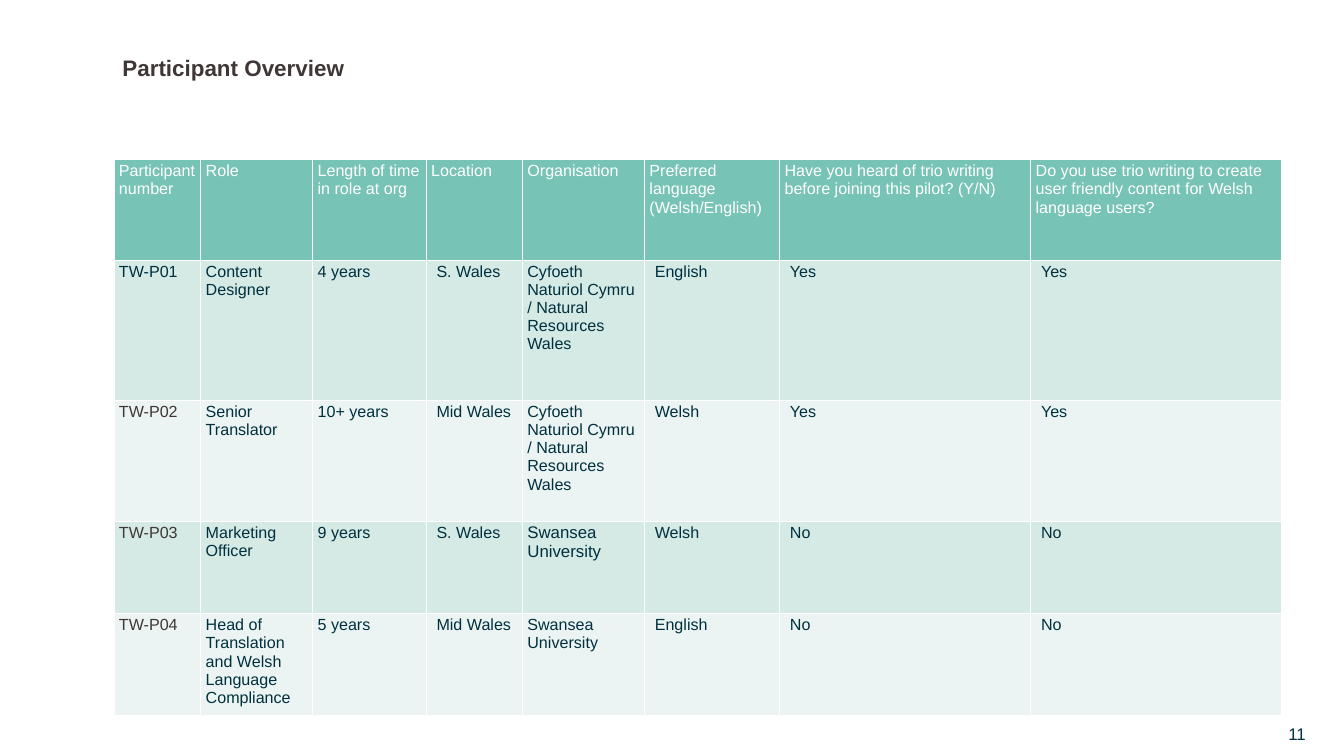
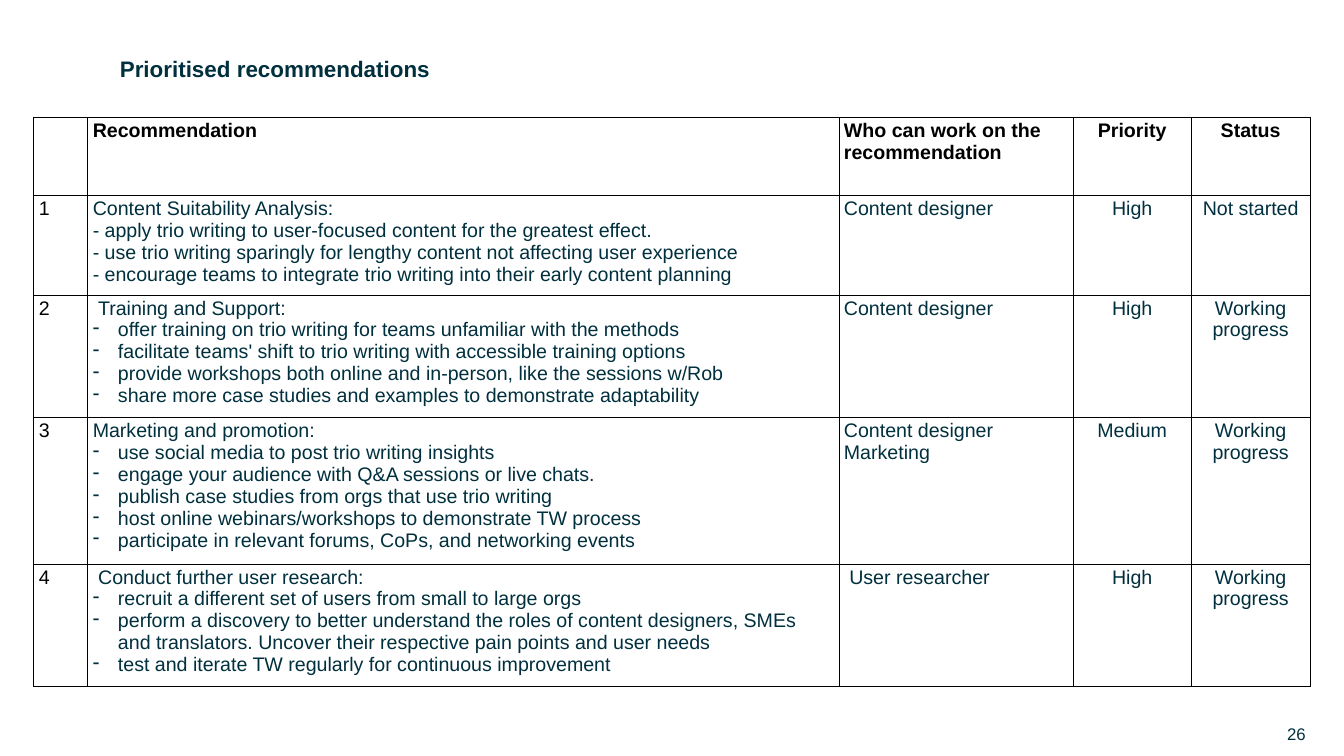
from lxml.etree import SubElement
from pptx import Presentation
from pptx.dml.color import RGBColor
from pptx.enum.text import MSO_ANCHOR, PP_ALIGN
from pptx.oxml import parse_xml
from pptx.oxml.ns import nsdecls, qn
from pptx.util import Cm, Pt

FONT = "Arial"
NAVY = RGBColor(0x00, 0x30, 0x3E)
BROWN = RGBColor(0x3E, 0x37, 0x35)
BLACK = RGBColor(0x00, 0x00, 0x00)
WHITE = RGBColor(0xFF, 0xFF, 0xFF)
TEAL = RGBColor(0x77, 0xC3, 0xB5)
BANDS = (RGBColor(0xD5, 0xE9, 0xE5), RGBColor(0xEB, 0xF4, 0xF2))

PARTICIPANT_HEADINGS = [
    "Participant number", "Role", "Length of time in role at org", "Location",
    "Organisation", "Preferred language (Welsh/English)",
    "Have you heard of trio writing before joining this pilot? (Y/N)",
    "Do you use trio writing to create user friendly content for Welsh language users?",
]
RESOURCES = "Cyfoeth Naturiol Cymru / Natural Resources Wales"
PARTICIPANTS = [
    ("TW-P01", "Content Designer", "4 years", "S. Wales", RESOURCES,
     "English", "Yes", "Yes"),
    ("TW-P02", "Senior Translator", "10+ years", "Mid Wales", RESOURCES,
     "Welsh", "Yes", "Yes"),
    ("TW-P03", "Marketing Officer", "9 years", "S. Wales", "Swansea University",
     "Welsh", "No", "No"),
    ("TW-P04", "Head of Translation and Welsh Language Compliance", "5 years",
     "Mid Wales", "Swansea University", "English", "No", "No"),
]
PARTICIPANT_WIDTHS = [4.37, 5.64, 5.72, 4.85, 6.15, 6.81, 12.65, 12.65]
PARTICIPANT_HEIGHTS = [5.08, 7.06, 6.07, 4.67, 5.08]
INDENTED_COLUMNS = (3, 5, 6, 7)

RECOMMENDATION_HEADINGS = [
    "", "Recommendation", "Who can work on the recommendation", "Priority", "Status",
]
RECOMMENDATIONS = [
    {"lines": ["Content Suitability Analysis:",
               "- apply trio writing to user-focused content for the greatest effect.",
               "- use trio writing sparingly for lengthy content not affecting user experience",
               "- encourage teams to integrate trio writing into their early content planning"],
     "bullets": [],
     "who": ["Content designer"], "priority": "High", "status": "Not started"},
    {"lines": ["Training and Support:"], "topic_indent": True,
     "bullets": ["offer training on trio writing for teams unfamiliar with the methods",
                 "facilitate teams' shift to trio writing with accessible training options",
                 "provide workshops both online and in-person, like the sessions w/Rob",
                 "share more case studies and examples to demonstrate adaptability"],
     "who": ["Content designer"], "priority": "High", "status": "Working progress"},
    {"lines": ["Marketing and promotion:"],
     "bullets": ["use social media to post trio writing insights",
                 "engage your audience with Q&A sessions or live chats.",
                 "publish case studies from orgs that use trio writing",
                 "host online webinars/workshops to demonstrate TW process",
                 "participate in relevant forums, CoPs, and networking events"],
     "who": ["Content designer", "Marketing"], "priority": "Medium",
     "status": "Working progress"},
    {"lines": ["Conduct further user research:"], "topic_indent": True,
     "who_indent": True,
     "bullets": ["recruit a different set of users from small to large orgs",
                 "perform a discovery to better understand the roles of content designers, "
                 "SMEs and translators. Uncover their respective pain points and user needs",
                 "test and iterate TW regularly for continuous improvement"],
     "who": ["User researcher"], "priority": "High", "status": "Working progress"},
]
RECOMMENDATION_WIDTHS = [2.72, 37.85, 11.79, 5.97, 5.97]
RECOMMENDATION_HEIGHTS = [3.94, 4.7, 5.74, 6.86, 5.74]

SMALL_INDENT = Cm(0.27)
BULLET_INDENT = Cm(1.27)


def style(para, size, color, bold=False, align=PP_ALIGN.LEFT):
    para.alignment = align
    para.font.name = FONT
    para.font.size = Pt(size)
    para.font.bold = bold
    para.font.color.rgb = color


def add_text(page, text, place, size, color, bold=False, align=PP_ALIGN.LEFT,
             anchor=MSO_ANCHOR.MIDDLE, wrap=True, spacing=1.0):
    box = page.shapes.add_textbox(*(Cm(length) for length in place))
    box.text_frame.word_wrap = wrap
    box.text_frame.vertical_anchor = anchor
    para = box.text_frame.paragraphs[0]
    para.text = text
    para.line_spacing = spacing
    style(para, size, color, bold, align)


def add_page_number(page, number):
    add_text(page, number, (50.8, 36.14, 15.24, 1.65), 24, NAVY, align=PP_ALIGN.RIGHT)


def add_grid(page, left, top, widths, heights):
    """Add an unstyled table with the given column widths and row heights."""
    frame = page.shapes.add_table(len(heights), len(widths), Cm(left), Cm(top),
                                  Cm(sum(widths)), Cm(sum(heights)))
    table = frame.table
    table.first_row = table.horz_banding = False
    for column, width in zip(table.columns, widths):
        column.width = Cm(width)
    for row, height in zip(table.rows, heights):
        row.height = Cm(height)
    return table


def set_borders(cell, color, left=1, right=1, top=1, bottom=1):
    properties = cell._tc.get_or_add_tcPr()
    for index, (side, points) in enumerate(zip("LRTB", (left, right, top, bottom))):
        properties.insert(index, parse_xml(
            f'<a:ln{side} {nsdecls("a")} w="{Pt(points)}"><a:solidFill>'
            f'<a:srgbClr val="{color}"/></a:solidFill></a:ln{side}>'))


def indent(para, margin, bullet=None):
    properties = para._p.get_or_add_pPr()
    properties.set("marL", str(margin))
    if bullet:
        properties.set("indent", str(-margin))
        SubElement(properties, qn("a:buChar"), char=bullet)


def write_lines(cell, lines, size, color, bold=False, align=PP_ALIGN.LEFT, bullets=()):
    frame = cell.text_frame
    for index, text in enumerate([*lines, *bullets]):
        para = frame.add_paragraph() if index else frame.paragraphs[0]
        para.text = text
        if index >= len(lines):
            indent(para, BULLET_INDENT, "-")
        style(para, size, color, bold, align)


def build_participants(page):
    add_text(page, "Participant Overview", (5.92, 2.62, 11.79, 3.18), 32, BROWN,
             bold=True, anchor=MSO_ANCHOR.TOP, wrap=False)
    table = add_grid(page, 5.74, 8.05, PARTICIPANT_WIDTHS, PARTICIPANT_HEIGHTS)
    for row, texts in enumerate([PARTICIPANT_HEADINGS, *PARTICIPANTS]):
        for column, text in enumerate(texts):
            cell = table.cell(row, column)
            cell.fill.solid()
            cell.fill.fore_color.rgb = BANDS[(row - 1) % 2] if row else TEAL
            set_borders(cell, WHITE, top=3 if row == 1 else 1, bottom=1 if row else 3)
            if row == 0:
                color = WHITE
            else:
                color = BROWN if column == 0 and row > 1 else NAVY
            size = 24 if (row, column) == (3, 4) else 23
            write_lines(cell, [text], size, color)
            if row and column in INDENTED_COLUMNS:
                indent(cell.text_frame.paragraphs[0], SMALL_INDENT)
    add_page_number(page, "11")


def build_recommendations(page):
    add_text(page, "Prioritised recommendations", (5.79, 2.34, 54.51, 2.39), 32, NAVY,
             bold=True, spacing=0.9)
    add_page_number(page, "26")
    table = add_grid(page, 1.7, 5.92, RECOMMENDATION_WIDTHS, RECOMMENDATION_HEIGHTS)
    for cell in table.iter_cells():
        cell.fill.background()
        set_borders(cell, BLACK, 0.82, 0.82, 0.82, 0.82)
    for column, heading in enumerate(RECOMMENDATION_HEADINGS):
        align = PP_ALIGN.CENTER if column > 2 else PP_ALIGN.LEFT
        write_lines(table.cell(0, column), [heading], 28, BLACK, True, align)
    for row, item in enumerate(RECOMMENDATIONS, start=1):
        number, topic, who, priority, status = table.rows[row].cells
        write_lines(number, [str(row)], 28, BLACK)
        write_lines(topic, item["lines"], 28, NAVY, bullets=item["bullets"])
        write_lines(who, item["who"], 28, NAVY)
        write_lines(priority, [item["priority"]], 28, NAVY, align=PP_ALIGN.CENTER)
        write_lines(status, [item["status"]], 28, NAVY, align=PP_ALIGN.CENTER)
        for cell, key in ((topic, "topic_indent"), (who, "who_indent")):
            if item.get(key):
                indent(cell.text_frame.paragraphs[0], SMALL_INDENT)


def main():
    deck = Presentation()
    deck.slide_width, deck.slide_height = Cm(67.72), Cm(38.1)
    for build in (build_participants, build_recommendations):
        build(deck.slides.add_slide(deck.slide_layouts[6]))
    deck.save("out.pptx")


if __name__ == "__main__":
    main()
